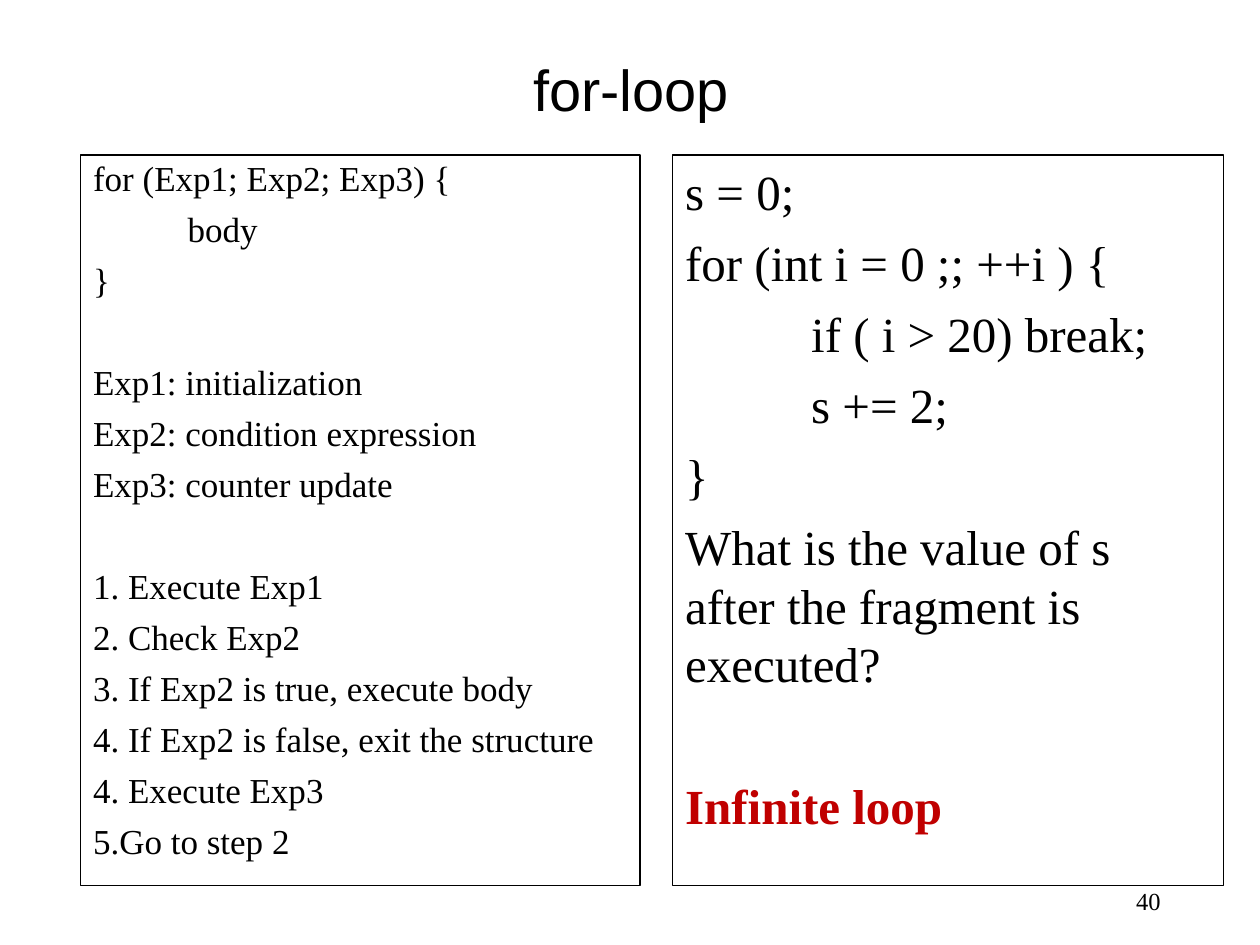
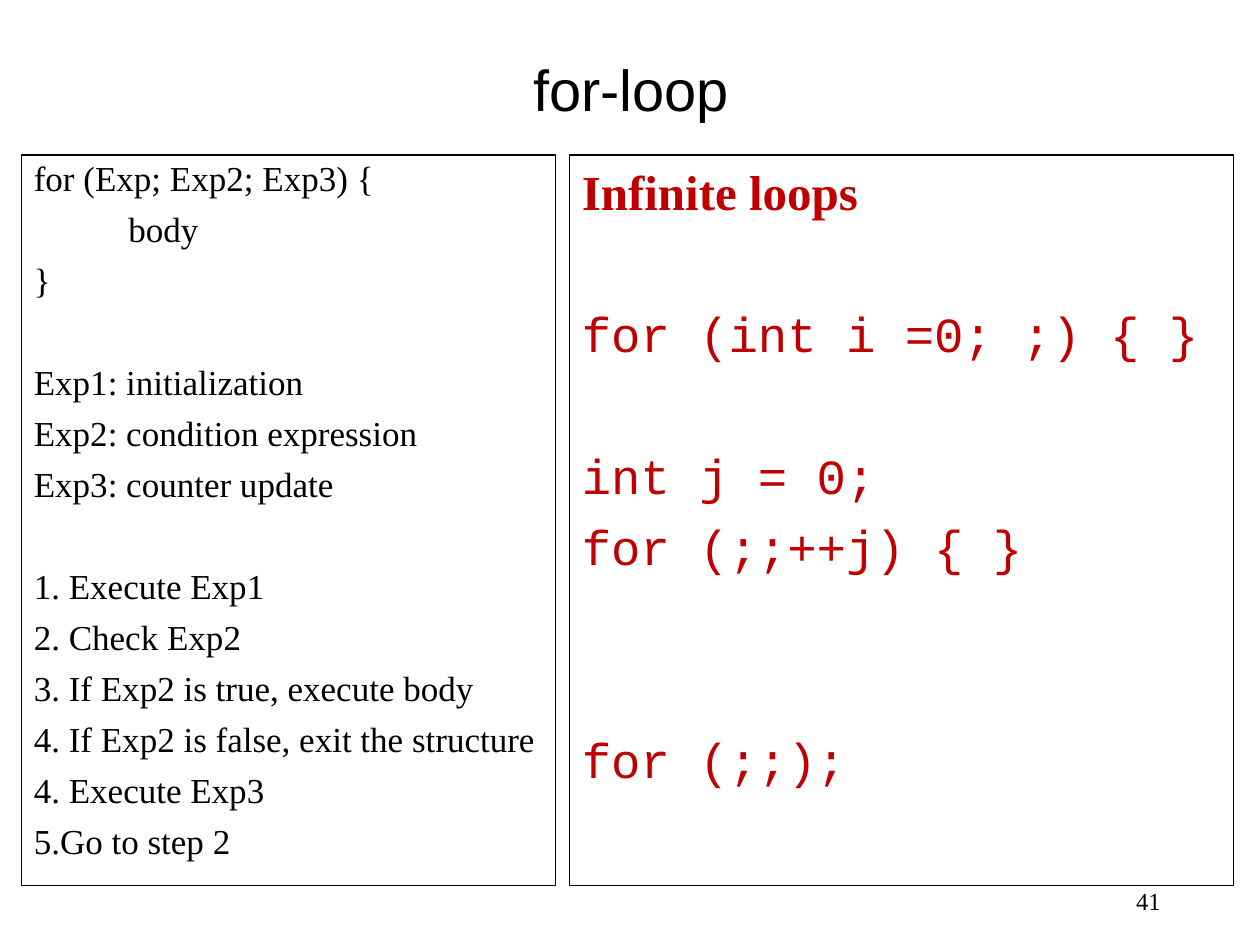
from pptx import Presentation
from pptx.dml.color import RGBColor
from pptx.enum.shapes import MSO_SHAPE
from pptx.enum.text import MSO_ANCHOR, MSO_AUTO_SIZE, PP_ALIGN
from pptx.util import Inches, Pt

BLACK = RGBColor(0x00, 0x00, 0x00)
RED = RGBColor(0xC0, 0x00, 0x00)
SANS, SERIF, MONO = "Arial", "Times New Roman", "Courier New"

# Both panels share their top and height
PANEL_TOP, PANEL_HEIGHT = 1.23, 5.8

# Text styles of the two panels: size, line pitch, space before, indent
RULES = dict(size=20, pitch=21.6, before=7.5, step=0.75)
EXAMPLE = dict(size=28, pitch=33.6, before=7, step=1)

# A line is its text and what differs from the panel style;
# skip is the number of line heights left free above it.
FOR_RULES = [
    ("body", dict(level=1)),
    ("}", {}),
    ("Exp1: initialization", dict(skip=1)),
    ("Exp2: condition expression", {}),
    ("Exp3: counter update", {}),
    ("1. Execute Exp1", dict(skip=1)),
    ("2. Check Exp2", {}),
    ("3. If Exp2 is true, execute body", {}),
    ("4. If Exp2 is false, exit the structure", {}),
    ("4. Execute Exp3", {}),
    ("5.Go to step 2", {}),
]

BREAK_EXAMPLE = [
    ("s = 0;", {}),
    ("for (int i = 0 ;; ++i ) {", {}),
    ("if ( i > 20) break;", dict(level=1)),
    ("s += 2;", dict(level=1)),
    ("}", {}),
    ("What is the value of s after the fragment is executed?", {}),
    ("Infinite loop", dict(skip=1, color=RED, bold=True)),
]

RED_CODE = dict(font=MONO, color=RED)
INFINITE_LOOPS = [
    ("Infinite loops", dict(color=RED, bold=True)),
    ("for (int i =0; ;) { }", dict(skip=1, **RED_CODE)),
    ("int j = 0;", dict(skip=1, **RED_CODE)),
    ("for (;;++j) { }", RED_CODE),
    ("for (;;);", dict(skip=2, **RED_CODE)),
]


def write(p, text, size, font=SERIF, color=BLACK, bold=False,
          align=PP_ALIGN.LEFT, pitch=None, before=0, skip=0, level=0, step=0):
    """Write one formatted paragraph; pitch is its line height in points."""
    p.alignment = align
    if pitch:
        p.line_spacing = Pt(pitch)
        p.space_before = Pt(before + skip * (pitch + before))
    if level:
        pPr = p._p.get_or_add_pPr()
        pPr.set("marL", str(Inches(level * step)))
        pPr.set("indent", "0")
    r = p.add_run()
    r.text = text
    r.font.name, r.font.size = font, Pt(size)
    r.font.bold = bold
    r.font.color.rgb = color


def add_title(s, text):
    sp = s.shapes.title
    sp.left, sp.top = Inches(0.7), Inches(0.01)
    sp.width, sp.height = Inches(8.62), Inches(1.45)
    tf = sp.text_frame
    tf.auto_size = MSO_AUTO_SIZE.NONE
    tf.vertical_anchor = MSO_ANCHOR.MIDDLE
    p = tf.paragraphs[0]
    write(p, text, 33, font=SANS, align=PP_ALIGN.CENTER)
    p.line_spacing = 0.9


def add_panel(s, left, width, lines, style):
    sp = s.shapes.add_shape(MSO_SHAPE.RECTANGLE, Inches(left), Inches(PANEL_TOP),
                            Inches(width), Inches(PANEL_HEIGHT))
    sp.shadow.inherit = False
    sp.fill.background()
    sp.line.color.rgb = BLACK
    sp.line.width = Pt(0.75)
    tf = sp.text_frame
    tf.word_wrap = True
    tf.vertical_anchor = MSO_ANCHOR.TOP
    for i, (text, changes) in enumerate(lines):
        p = tf.add_paragraph() if i else tf.paragraphs[0]
        write(p, text, **{**style, **changes})


def add_page_number(s, number):
    sp = s.shapes.add_textbox(Inches(7.06), Inches(6.95), Inches(2.25), Inches(0.4))
    tf = sp.text_frame
    tf.word_wrap = True
    tf.vertical_anchor = MSO_ANCHOR.MIDDLE
    write(tf.paragraphs[0], str(number), 14, align=PP_ALIGN.RIGHT)


def add_loop_slide(prs, number, header, rules_at, example_at, example):
    s = prs.slides.add_slide(prs.slide_layouts[5])
    add_title(s, "for-loop")
    add_panel(s, *rules_at, [(header, {})] + FOR_RULES, RULES)
    add_page_number(s, number)
    add_panel(s, *example_at, example, EXAMPLE)


def main():
    prs = Presentation()
    prs.slide_width, prs.slide_height = Inches(10), Inches(7.5)

    # Panel places are (left, width)
    add_loop_slide(prs, 40, "for (Exp1; Exp2; Exp3) {",
                   (0.64, 4.44), (5.34, 4.37), BREAK_EXAMPLE)
    add_loop_slide(prs, 41, "for (Exp; Exp2; Exp3) {",
                   (0.17, 4.24), (4.52, 5.27), INFINITE_LOOPS)

    prs.save("out.pptx")


if __name__ == "__main__":
    main()
